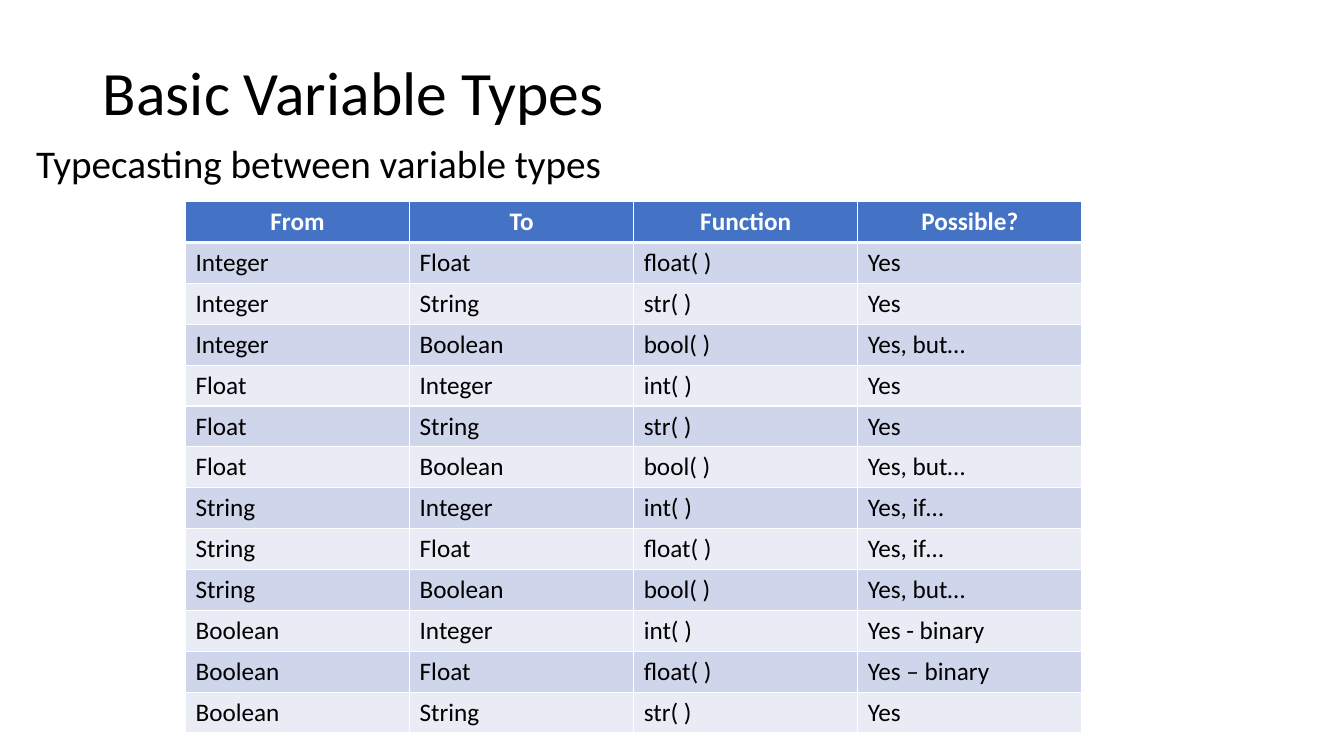
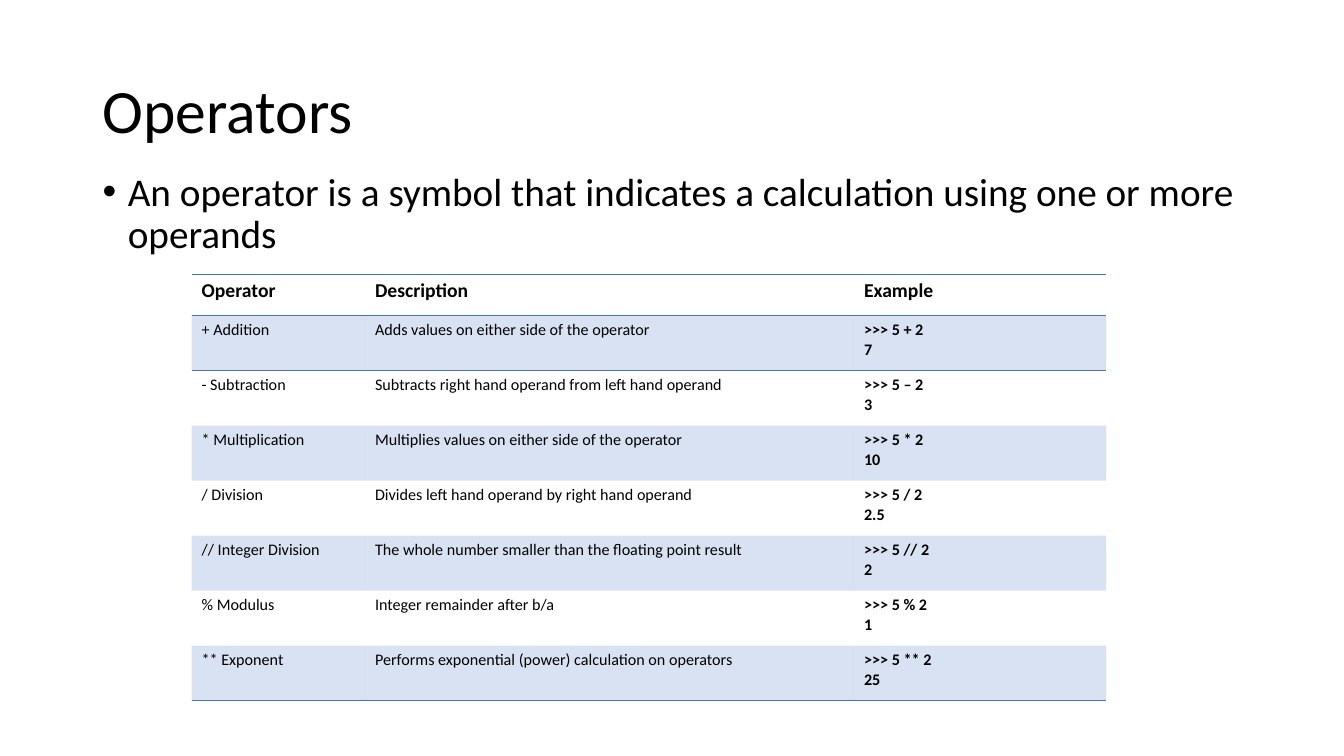
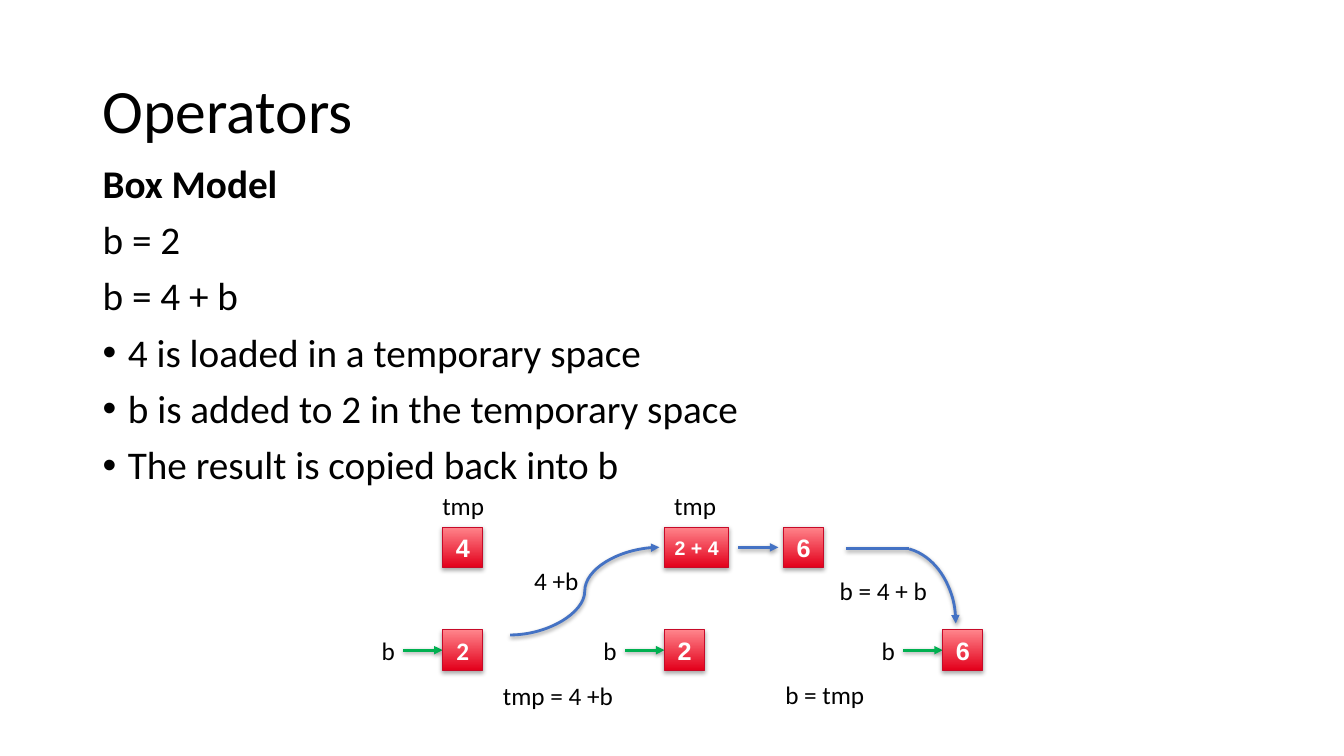
from lxml import etree
from pptx import Presentation
from pptx.dml.color import RGBColor
from pptx.enum.shapes import MSO_CONNECTOR, MSO_SHAPE
from pptx.enum.text import MSO_ANCHOR, MSO_AUTO_SIZE, PP_ALIGN
from pptx.oxml.ns import qn
from pptx.util import Pt

LEFT, CENTER = PP_ALIGN.LEFT, PP_ALIGN.CENTER
MIDDLE = MSO_ANCHOR.MIDDLE
NO_FIT, GROW = MSO_AUTO_SIZE.NONE, MSO_AUTO_SIZE.SHAPE_TO_FIT_TEXT
STRAIGHT, CURVE = MSO_CONNECTOR.STRAIGHT, MSO_CONNECTOR.CURVE
RECT, ARC = MSO_SHAPE.RECTANGLE, MSO_SHAPE.ARC

SCALE = 9144  # EMU in one px, 100 px to the inch
FONT, TILE_FONT = "Calibri", "Arial"
PLAIN_STYLE = "{2D5ABB26-0587-4C30-8999-92F81FD0307C}"
SIDES = ("L", "R", "T", "B")
TILE = 40
COLORS = {
    "text": "000000",
    "white": "FFFFFF",
    "blue": "4472C4",
    "band": "CFD5EA",
    "pale": "E9EBF5",
    "green": "00B050",
    "red": "E3001B",
    "pink": "FF848B",
    "rim": "C70A28",
}

CASTS = [
    ("From", "To", "Function", "Possible?"),
    ("Integer", "Float", "float( )", "Yes"),
    ("Integer", "String", "str( )", "Yes"),
    ("Integer", "Boolean", "bool( )", "Yes, but…"),
    ("Float", "Integer", "int( )", "Yes"),
    ("Float", "String", "str( )", "Yes"),
    ("Float", "Boolean", "bool( )", "Yes, but…"),
    ("String", "Integer", "int( )", "Yes, if…"),
    ("String", "Float", "float( )", "Yes, if…"),
    ("String", "Boolean", "bool( )", "Yes, but…"),
    ("Boolean", "Integer", "int( )", "Yes - binary"),
    ("Boolean", "Float", "float( )", "Yes – binary"),
    ("Boolean", "String", "str( )", "Yes"),
]
SIGNS = [
    ("Operator", "Description", "Example"),
    ("+ Addition", "Adds values on either side of the operator", ">>> 5 + 2\n7"),
    ("- Subtraction", "Subtracts right hand operand from left hand operand",
     ">>> 5 – 2\n3"),
    ("* Multiplication", "Multiplies values on either side of the operator",
     ">>> 5 * 2\n10"),
    ("/ Division", "Divides left hand operand by right hand operand",
     ">>> 5 / 2\n2.5"),
    ("// Integer Division",
     "The whole number smaller than the floating point result",
     ">>> 5 // 2\n2"),
    ("% Modulus", "Integer remainder after b/a", ">>> 5 % 2\n1"),
    ("** Exponent", "Performs exponential (power) calculation on operators",
     ">>> 5 ** 2\n25"),
]


def px(*sizes):
    return [round(size * SCALE) for size in sizes]


def rgb(name):
    return RGBColor.from_string(COLORS[name])


def node(parent, tag, **attrs):
    return etree.SubElement(parent, qn(tag), attrs)


def write(para, text, size, color="text", bold=False, font=FONT):
    run = para.add_run()
    run.text = text
    run.font.size, run.font.bold, run.font.name = Pt(size), bold, font
    run.font.color.rgb = rgb(color)


def new_slide(deck, title, top=40):
    slide = deck.slides.add_slide(deck.slide_layouts[5])
    shape = slide.shapes.title
    shape.left, shape.top, shape.width, shape.height = px(92, top, 1150, 145)
    frame = shape.text_frame
    frame.auto_size, frame.vertical_anchor = NO_FIT, MIDDLE
    para = frame.paragraphs[0]
    para.alignment, para.line_spacing = LEFT, 0.9
    write(para, title, 44)
    return slide


def body(slide, box, lines, space=0.9):
    """Each line is (text, kind); kind is plain, bold or bullet."""
    frame = slide.shapes.add_textbox(*px(*box)).text_frame
    frame.word_wrap, frame.auto_size = True, NO_FIT
    for i, (text, kind) in enumerate(lines):
        para = frame.add_paragraph() if i else frame.paragraphs[0]
        para.line_spacing, para.space_before = space, Pt(10)
        if kind == "bullet":
            props = para._p.get_or_add_pPr()
            indent, = px(25)
            props.set("marL", str(indent))
            props.set("indent", str(-indent))
            node(props, "a:buFont", typeface="Arial")
            node(props, "a:buChar", char="•")
        write(para, text, 28, bold=kind == "bold")


def grid(slide, box, rows):
    frame = slide.shapes.add_table(len(rows), len(rows[0]), *px(*box))
    for style in frame.element.iter(qn("a:tableStyleId")):
        style.text = PLAIN_STYLE
    table = frame.table
    table.first_row = table.horz_banding = False
    return table


def fill_cell(cell, text, size, edges, fill=None, alpha=100, align=LEFT,
              **look):
    """Edges maps a side to its (colour, points)."""
    for i, line in enumerate(text.split("\n")):
        frame = cell.text_frame
        para = frame.add_paragraph() if i else frame.paragraphs[0]
        para.alignment = align
        write(para, line, size, **look)
    props = cell._tc.get_or_add_tcPr()
    for side in SIDES:
        if side in edges:
            color, width = edges[side]
            line = node(props, "a:ln" + side, w=str(Pt(width)))
            paint = node(line, "a:solidFill")
            node(paint, "a:srgbClr", val=COLORS[color])
    if not fill:
        cell.fill.background()
        return
    cell.fill.solid()
    cell.fill.fore_color.rgb = rgb(fill)
    if alpha < 100:
        paint = props.find(qn("a:solidFill"))
        node(paint[0], "a:alpha", val=str(alpha * 1000))


def cast_table(slide, box):
    table = grid(slide, box, CASTS)
    thin = dict.fromkeys(SIDES, ("white", 1))
    thick = ("white", 3)
    for r, row in enumerate(CASTS):
        if r == 0:
            look = dict(edges={**thin, "B": thick}, fill="blue",
                        align=CENTER, color="white", bold=True)
        else:
            edges = {**thin, "T": thick} if r == 1 else thin
            look = dict(edges=edges, fill="band" if r % 2 else "pale")
        for c, text in enumerate(row):
            fill_cell(table.cell(r, c), text, 18, **look)


def sign_table(slide, box, widths, head):
    table = grid(slide, box, SIGNS)
    for col, width in zip(table.columns, widths):
        col.width, = px(width)
    last = len(SIGNS) - 1
    rule = ("blue", 1)
    for r, row in enumerate(SIGNS):
        table.rows[r].height, = px((box[3] - head) / last if r else head)
        edges = {}
        if r < 2:
            edges["T"] = rule
        if r in (0, last):
            edges["B"] = rule
        for c, text in enumerate(row):
            fill_cell(table.cell(r, c), text, 11.5 if r else 14, edges,
                      "blue" if r % 2 else None, 20,
                      bold=r == 0 or c == 2)


def shade(shape, dist, alpha):
    effects = node(shape.element.spPr, "a:effectLst")
    shadow = node(effects, "a:outerShdw", blurRad="40000", dist=str(dist),
                  dir="5400000", rotWithShape="0")
    color = node(shadow, "a:srgbClr", val=COLORS["text"])
    node(color, "a:alpha", val=str(alpha * 1000))


def stroke(shape, color, arrow=True):
    shape.line.color.rgb, shape.line.width = rgb(color), Pt(2)
    if arrow:
        node(shape.element.spPr.find(qn("a:ln")), "a:tailEnd",
             type="triangle")
    shade(shape, 20000, 38)


def link(slide, ends, color="blue", kind=STRAIGHT, arrow=True):
    stroke(slide.shapes.add_connector(kind, *px(*ends)), color, arrow)


def label(slide, x, y, width, text, align=LEFT):
    frame = slide.shapes.add_textbox(*px(x, y, width, TILE)).text_frame
    frame.word_wrap, frame.auto_size = True, GROW
    para = frame.paragraphs[0]
    para.alignment = align
    write(para, text, 18)


def tile(slide, x, y, text, width=TILE, size=18, font=TILE_FONT):
    shape = slide.shapes.add_shape(RECT, *px(x, y, width, TILE))
    shape.fill.gradient()
    shape.fill.gradient_angle = 90
    for stop, color in zip(shape.fill.gradient_stops, ("red", "pink")):
        stop.color.rgb = rgb(color)
    shape.line.color.rgb, shape.line.width = rgb("rim"), Pt(0.75)
    shade(shape, 23000, 35)
    frame = shape.text_frame
    frame.vertical_anchor, frame.word_wrap = MIDDLE, False
    para = frame.paragraphs[0]
    para.alignment = CENTER
    write(para, text, size, "white", True, font)


def bend(slide, x, y, width, height):
    shape = slide.shapes.add_shape(ARC, *px(x, y, width, height))
    shape.adjustments[0], shape.adjustments[1] = 167.45, 0
    shape.fill.background()
    stroke(shape, "blue")


def box_model(slide, x, y):
    top, low = y + 41, y + 143
    mid = top + TILE // 2
    for left, text, font in ((81, "2", FONT), (301, "2", TILE_FONT),
                             (577, "6", TILE_FONT)):
        left += x
        label(slide, left - 82, low, 56, "b", CENTER)
        link(slide, (left - 39, low + 20, left, low + 20), "green")
        tile(slide, left, low, text, font=font)
    for left in (68, 298):
        label(slide, x + left, y, 67, "tmp", CENTER)
    tile(slide, x + 81, top, "4")
    tile(slide, x + 301, top, "2 + 4", 64, 14)
    tile(slide, x + 419, top, "6")
    link(slide, (x + 148, y + 148, x + 296, mid), kind=CURVE)
    link(slide, (x + 374, mid, x + 414, mid))
    link(slide, (x + 481, mid + 1, x + 544, mid + 1), arrow=False)
    bend(slide, x + 474, mid, 116, 151)
    for left, down, width, text in ((162, 74, 71, "4 +b"),
                                    (131, 188, 157, "tmp = 4 +b"),
                                    (411, 187, 109, "b = tmp"),
                                    (465, 84, 109, "b = 4 + b")):
        label(slide, x + left, y + down, width, text)


def main():
    deck = Presentation()
    deck.slide_width, deck.slide_height = px(1333, 750)

    slide = new_slide(deck, "Basic Variable Types", 22)
    body(slide, (26, 142, 1150, 50),
         [("Typecasting between variable types", "plain")], 0.8)
    cast_table(slide, (184, 200, 889, 527))

    slide = new_slide(deck, "Operators")
    body(slide, (92, 166, 1150, 476),
         [("An operator is a symbol that indicates a calculation using "
           "one or more operands", "bullet")])
    sign_table(slide, (190, 272, 907, 423), (172, 485, 250), 41)

    slide = new_slide(deck, "Operators")
    body(slide, (92, 158, 1150, 476), [
        ("Box Model", "bold"),
        ("b = 2", "plain"),
        ("b = 4 + b", "plain"),
        ("4 is loaded in a temporary space", "bullet"),
        ("b is added to 2 in the temporary space", "bullet"),
        ("The result is copied back into b", "bullet"),
    ])
    box_model(slide, 358, 482)

    deck.save("out.pptx")


if __name__ == "__main__":
    main()
